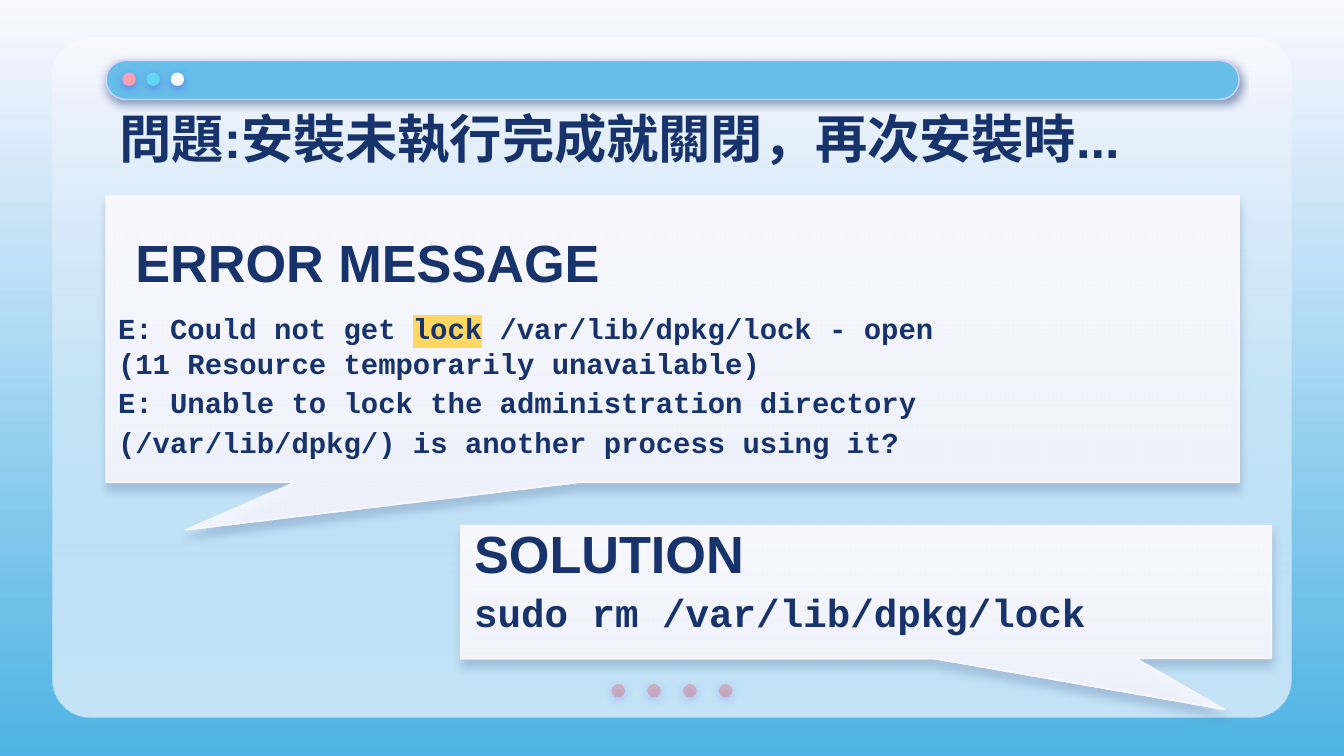
"""Build a slide showing a package lock error and its solution."""
from lxml import etree
from pptx import Presentation
from pptx import util as u
from pptx.dml.color import RGBColor
from pptx.enum import shapes, text
from pptx.oxml.ns import qn

THEME = {
    "navy": "17336B", "pale": "F9F8FF", "sky": "4EB3E4", "bar": "66BEE9",
    "edge": "D2D6FF", "glow": "5352EE", "pink": "FDA0B4", "cyan": "60D8F4",
    "rose": "E27B83", "mark": "FFD65F", "heading_font": "Arial",
    "code_font": "Courier New", "heading": 28, "error": 15.5, "command": 21,
}
HEADINGS = [
    ("問題:安裝未執行完成就關閉，再次安裝時...", (0.79, 0.71, 8.43, 0.63)),
    ("ERROR MESSAGE", (0.91, 1.75, 6.37, 0.4)),
    ("SOLUTION", (3.43, 3.91, 6.37, 0.4)),
]
ERROR = [
    ["E: Could not get ", "lock", " /var/lib/dpkg/lock - open"],
    ["(11 Resource temporarily unavailable)"],
    ["E: Unable to lock the administration directory "
     "(/var/lib/dpkg/) is another process using it?"],
]
MARKED = "lock"
COMMAND = [["sudo rm /var/lib/dpkg/lock"]]
CALLOUTS = [
    ((0.79, 1.46, 8.43, 2.13), (-0.43, 0.666, 0)),
    ((3.43, 3.91, 6.03, 0.99), (0.442, 0.881, 0)),
]
WIDTH = 10
HEIGHT = WIDTH * 9 / 16
PANEL = (0.39, 0.28, 9.22, 5.06)
BAR = (0.79, 0.45, 8.43, 0.29)
DOT = 0.1
WINDOW_DOTS = ["pink", "cyan", "pale"]
PAGE_DOTS, PAGE_SPAN = 4, 0.9
DOT_SHADOW = ("glow", 50, 4.5, 1.5)
BAR_SHADOW = ("navy", 50, 4.5, 1.5)
CALLOUT_SHADOW = ("navy", 22, 4.5, 3.8)
KIND = shapes.MSO_SHAPE


def rgb(name):
    return RGBColor.from_string(THEME[name])


def set_alpha(element, percent):
    color = next(element.iter(qn("a:srgbClr")))
    etree.SubElement(color, qn("a:alpha"), val=str(percent * 1000))


def set_gradient(fill, start, end):
    fill.gradient()
    fill.gradient_angle = 270
    for stop, name in zip(fill.gradient_stops, (start, end)):
        stop.color.rgb = rgb(name)


def add_shadow(sp, color, alpha, blur, dist):
    effects = sp._element.spPr.find(qn("a:effectLst"))
    shadow = etree.SubElement(
        effects, qn("a:outerShdw"), blurRad=str(u.Pt(blur)),
        dist=str(u.Pt(dist)), dir="5400000", algn="bl", rotWithShape="0")
    etree.SubElement(shadow, qn("a:srgbClr"), val=THEME[color])
    set_alpha(shadow, alpha)


def add_shape(s, kind, box, fill, alpha=None, line=None, shadow=None, adj=()):
    sp = s.shapes.add_shape(kind, *map(u.Inches, box))
    sp.shadow.inherit = False
    for i, value in enumerate(adj):
        sp.adjustments[i] = value
    if isinstance(fill, tuple):
        set_gradient(sp.fill, *fill)
        target = sp._element.spPr.findall(".//" + qn("a:gs"))[-1]
    else:
        sp.fill.solid()
        sp.fill.fore_color.rgb = rgb(fill)
        target = sp._element.spPr.find(qn("a:solidFill"))
    if alpha:
        set_alpha(target, alpha)
    if line:
        sp.line.color.rgb = rgb(line)
        sp.line.width = u.Pt(0.75)
    else:
        sp.line.fill.background()
    if shadow:
        add_shadow(sp, *shadow)
    return sp


def add_text(s, box, paragraphs, font, size, marked=None, bottom=0.1):
    tf = s.shapes.add_textbox(*map(u.Inches, box)).text_frame
    tf.word_wrap = True
    tf.vertical_anchor = text.MSO_ANCHOR.MIDDLE
    tf.margin_left = tf.margin_right = tf.margin_top = u.Inches(0.1)
    tf.margin_bottom = u.Inches(bottom)
    for i, parts in enumerate(paragraphs):
        p = tf.add_paragraph() if i else tf.paragraphs[0]
        for part in parts:
            r = p.add_run()
            r.text = part
            r.font.name = THEME[font]
            r.font.size = u.Pt(THEME[size])
            r.font.bold = True
            r.font.color.rgb = rgb("navy")
            if part == marked:
                mark = etree.Element(qn("a:highlight"))
                etree.SubElement(mark, qn("a:srgbClr"), val=THEME["mark"])
                r._r.rPr.find(qn("a:latin")).addprevious(mark)
    return tf


def main():
    prs = Presentation()
    prs.slide_width, prs.slide_height = u.Inches(WIDTH), u.Inches(HEIGHT)
    s = prs.slides.add_slide(prs.slide_layouts[6])
    set_gradient(s.background.fill, "pale", "sky")

    add_shape(s, KIND.ROUNDED_RECTANGLE, PANEL, "pale", adj=[0.056])
    add_shape(s, KIND.ROUNDED_RECTANGLE, PANEL, ("pale", "bar"), 35, adj=[0.056])
    step = (PAGE_SPAN - DOT) / (PAGE_DOTS - 1)
    for i in range(PAGE_DOTS):
        box = ((WIDTH - PAGE_SPAN) / 2 + i * step, 5.09, DOT, DOT)
        add_shape(s, KIND.OVAL, box, "rose", 44, shadow=DOT_SHADOW)
    add_shape(s, KIND.ROUNDED_RECTANGLE, BAR, "bar", line="edge",
              shadow=BAR_SHADOW, adj=[0.5])
    for i, color in enumerate(WINDOW_DOTS):
        box = (0.91 + 0.18 * i, 0.54, DOT, DOT)
        add_shape(s, KIND.OVAL, box, color, shadow=DOT_SHADOW)

    for box, adj in CALLOUTS:
        add_shape(s, KIND.ROUNDED_RECTANGULAR_CALLOUT, box, ("pale", "pale"), 87,
                  line="pale", shadow=CALLOUT_SHADOW, adj=adj)
    for heading, box in HEADINGS:
        add_text(s, box, [[heading]], "heading_font", "heading")
    tf = add_text(s, (0.78, 2.01, 8.28, 1.71), ERROR, "code_font", "error", MARKED)
    tf.paragraphs[-1].line_spacing = 1.15
    tf.paragraphs[-1].space_after = u.Pt(6)
    add_text(s, (3.43, 4.13, 6.37, 1.13), COMMAND, "code_font", "command", bottom=0.39)

    prs.save("out.pptx")


if __name__ == "__main__":
    main()
